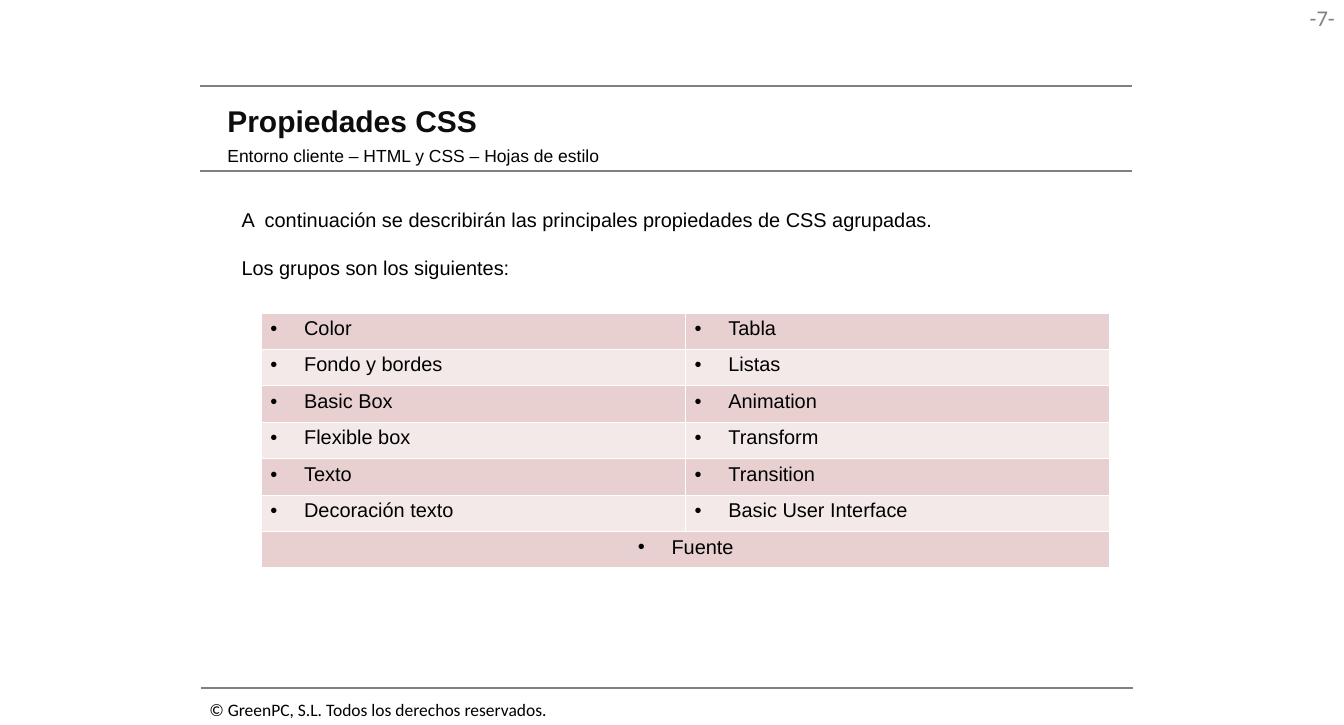
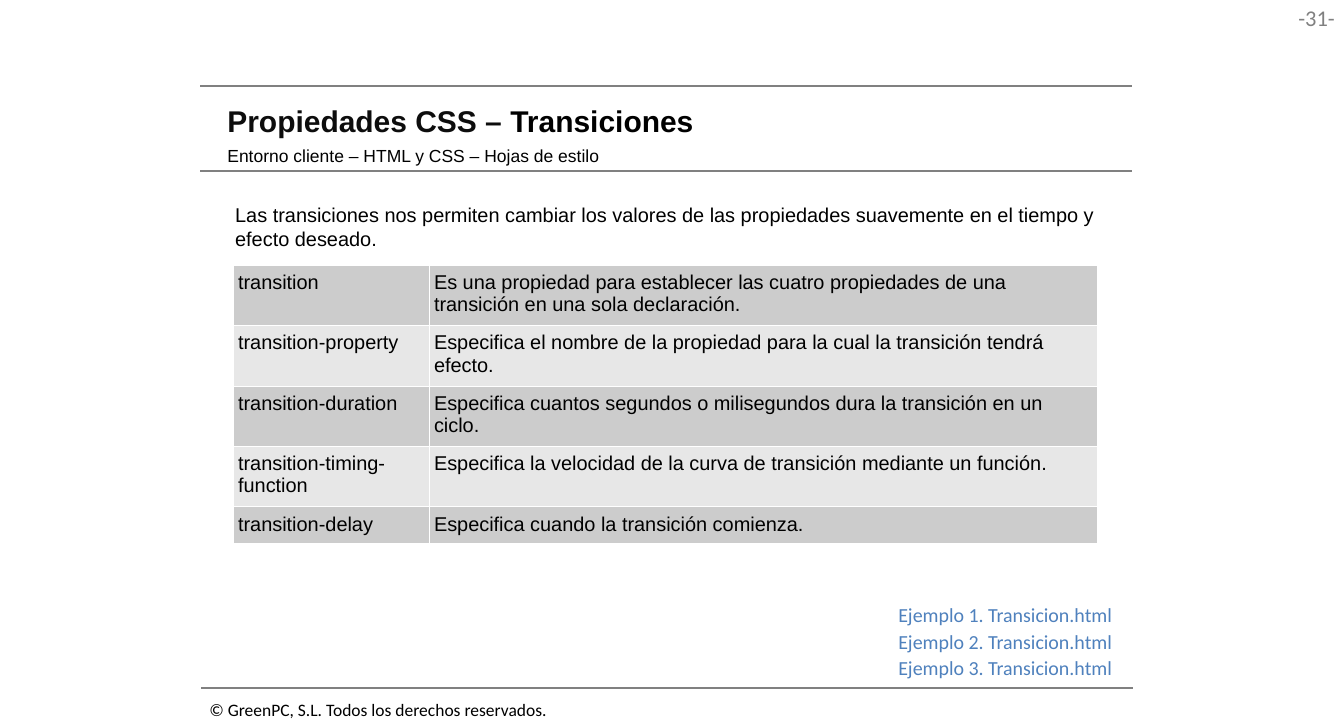
"""Build two course slides on CSS properties and transitions."""
from lxml import etree
from pptx import Presentation
from pptx.dml.color import RGBColor
from pptx.enum import shapes, text
from pptx.oxml import ns
from pptx.util import Pt

COLORS = {
    "gray": "808080", "title": "0D0D0D", "black": "000000", "link": "4F81BD",
    "rose": "E8D0D0", "pale rose": "F4E9E9", "silver": "CCCCCC", "pale silver": "E7E7E7",
}
PAGE_NUMBER = {"font": "Calibri", "size": 18, "color": "gray", "align": text.PP_ALIGN.RIGHT}
FOOTER = {"font": "Calibri", "size": 14}
TITLE = {"size": 24, "bold": True, "color": "title"}
SUBTITLE = {"size": 14}
BODY = {"size": 16}
JUSTIFIED = {"size": 16, "align": text.PP_ALIGN.JUSTIFY}
BULLET = {"size": 16, "bullet": True}
CENTERED_BULLET = BULLET | {"align": text.PP_ALIGN.CENTER}
EXAMPLE = {"font": "Calibri", "size": 16, "color": "link"}
HEADING_FRAME = {
    "margin_left": Pt(9.4), "margin_right": Pt(9.4), "margin_top": Pt(5),
    "margin_bottom": Pt(5), "vertical_anchor": text.MSO_ANCHOR.MIDDLE,
}
TIGHT_CELL = {
    "margin_left": Pt(3.6), "margin_right": Pt(3.6), "margin_top": Pt(5), "margin_bottom": Pt(5),
}


def write(frame, paragraphs, style, gap=0):
    """Fill a text frame; each paragraph is a list of (text, colour) runs or a string."""
    frame.word_wrap = True
    for index, content in enumerate(paragraphs):
        paragraph = frame.add_paragraph() if index else frame.paragraphs[0]
        paragraph.alignment = style.get("align", text.PP_ALIGN.LEFT)
        if index:
            paragraph.space_before = Pt(gap)
        if style.get("bullet"):
            properties = paragraph._p.get_or_add_pPr()
            properties.set("marL", str(Pt(27)))
            properties.set("indent", str(-Pt(27)))
            etree.SubElement(properties, ns.qn("a:buFont")).set("typeface", "Arial")
            etree.SubElement(properties, ns.qn("a:buChar")).set("char", "•")
        color = style.get("color", "black")
        for words, run_color in [(content, color)] if isinstance(content, str) else content:
            run = paragraph.add_run()
            run.text = words
            run.font.color.rgb = RGBColor.from_string(COLORS[run_color])
            values = {"name": style.get("font", "Arial"), "size": Pt(style["size"]),
                      "bold": style.get("bold", False)}
            for name, value in values.items():
                setattr(run.font, name, value)


def add_banded_table(slide, left, top, widths, row_height, rows, bands, style, cell_format):
    """Add a table whose rows alternate between two fills."""
    frame = slide.shapes.add_table(len(rows), len(widths), Pt(left), Pt(top),
                                   Pt(sum(widths)), Pt(row_height * len(rows)))
    table = frame.table
    table.first_row = table.horz_banding = False
    for column, width in zip(table.columns, widths):
        column.width = Pt(width)
    for row_index, row in enumerate(rows):
        for column_index, words in enumerate(row):
            cell = table.cell(row_index, column_index)
            cell.fill.solid()
            cell.fill.fore_color.rgb = RGBColor.from_string(COLORS[bands[row_index % 2]])
            for name, value in cell_format.items():
                setattr(cell, name, value)
            write(cell.text_frame, [words], style)
    return table


presentation = Presentation()
presentation.slide_width, presentation.slide_height = Pt(1077), Pt(581)

headings = [
    ("-7-", "Propiedades CSS"),
    ("-31-", [("Propiedades CSS – ", "title"), ("Transiciones", "black")]),
]
for page_number, title in headings:
    slide = presentation.slides.add_slide(presentation.slide_layouts[6])
    for left, top in [(160.6, 69.1), (160.6, 136.8), (161.3, 551.5)]:
        rule = slide.shapes.add_connector(shapes.MSO_CONNECTOR.STRAIGHT, Pt(left), Pt(top),
                                          Pt(left + 746.6), Pt(top))
        rule.line.color.rgb = RGBColor.from_string(COLORS["gray"])
        rule.line.width = Pt(1.5)
        etree.SubElement(rule._element.spPr, ns.qn("a:effectLst"))
    shared_texts = [
        ((1017.4, 0, 59.3, 29.5), page_number, PAGE_NUMBER, {}),
        ((160.6, 556.6, 300, 24.4), "© GreenPC, S.L. Todos los derechos reservados.", FOOTER, {}),
        ((172.8, 77, 728.6, 38.9), title, TITLE, HEADING_FRAME),
        ((172.8, 111.6, 547.2, 26.6), "Entorno cliente – HTML y CSS – Hojas de estilo",
         SUBTITLE, HEADING_FRAME),
    ]
    for box, words, style, frame_format in shared_texts:
        frame = slide.shapes.add_textbox(*map(Pt, box)).text_frame
        for name, value in frame_format.items():
            setattr(frame, name, value)
        write(frame, [words], style)

groups_slide, transitions_slide = presentation.slides

introduction = groups_slide.shapes.add_textbox(Pt(186.5), Pt(162.7), Pt(704), Pt(65.5))
write(introduction.text_frame, [
    "A  continuación se describirán las principales propiedades de CSS agrupadas.",
    "Los grupos son los siguientes:",
], BODY, gap=19)

property_groups = [
    ("Color", "Tabla"),
    ("Fondo y bordes", "Listas"),
    ("Basic Box", "Animation"),
    ("Flexible box", "Transform"),
    ("Texto", "Transition"),
    ("Decoración texto", "Basic User Interface"),
    (),
]
groups_table = add_banded_table(groups_slide, 209.5, 250.8, [340, 340], 29.2, property_groups,
                                ("rose", "pale rose"), BULLET, {})
font_group = groups_table.cell(6, 0)
font_group.merge(groups_table.cell(6, 1))
font_group.fill.solid()
font_group.fill.fore_color.rgb = RGBColor.from_string(COLORS["rose"])
write(font_group.text_frame, ["Fuente"], CENTERED_BULLET)

transition_properties = [
    ("transition", "Es una propiedad para establecer las cuatro propiedades de una "
                   "transición en una sola declaración."),
    ("transition-property", "Especifica el nombre de la propiedad para la cual la transición "
                            "tendrá efecto."),
    ("transition-duration", "Especifica cuantos segundos o milisegundos dura la transición "
                            "en un ciclo."),
    ("transition-timing-function", "Especifica la velocidad de la curva de transición "
                                   "mediante un función."),
    ("transition-delay", "Especifica cuando la transición comienza."),
]
add_banded_table(transitions_slide, 187.2, 212.6, [157, 535], 23, transition_properties,
                 ("silver", "pale silver"), BODY, TIGHT_CELL)

summary = transitions_slide.shapes.add_textbox(Pt(181.4), Pt(159.1), Pt(702.7), Pt(46))
write(summary.text_frame, [
    "Las transiciones nos permiten cambiar los valores de las propiedades suavemente "
    "en el tiempo y efecto deseado.",
], JUSTIFIED)

for index in range(3):
    example = transitions_slide.shapes.add_textbox(Pt(712.8), Pt(479.5 + 21.2 * index),
                                                   Pt(200), Pt(26.6))
    write(example.text_frame, [f"Ejemplo {index + 1}. Transicion.html"], EXAMPLE)

presentation.save("out.pptx")
